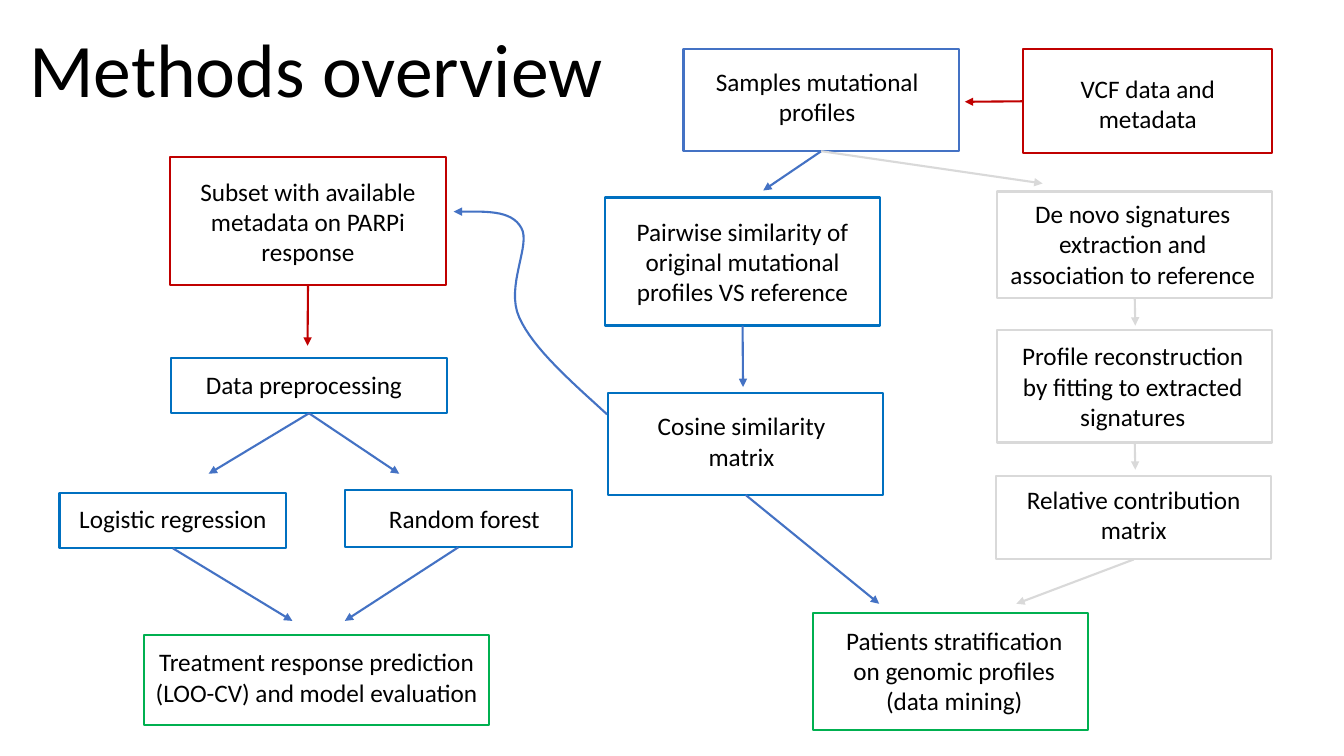
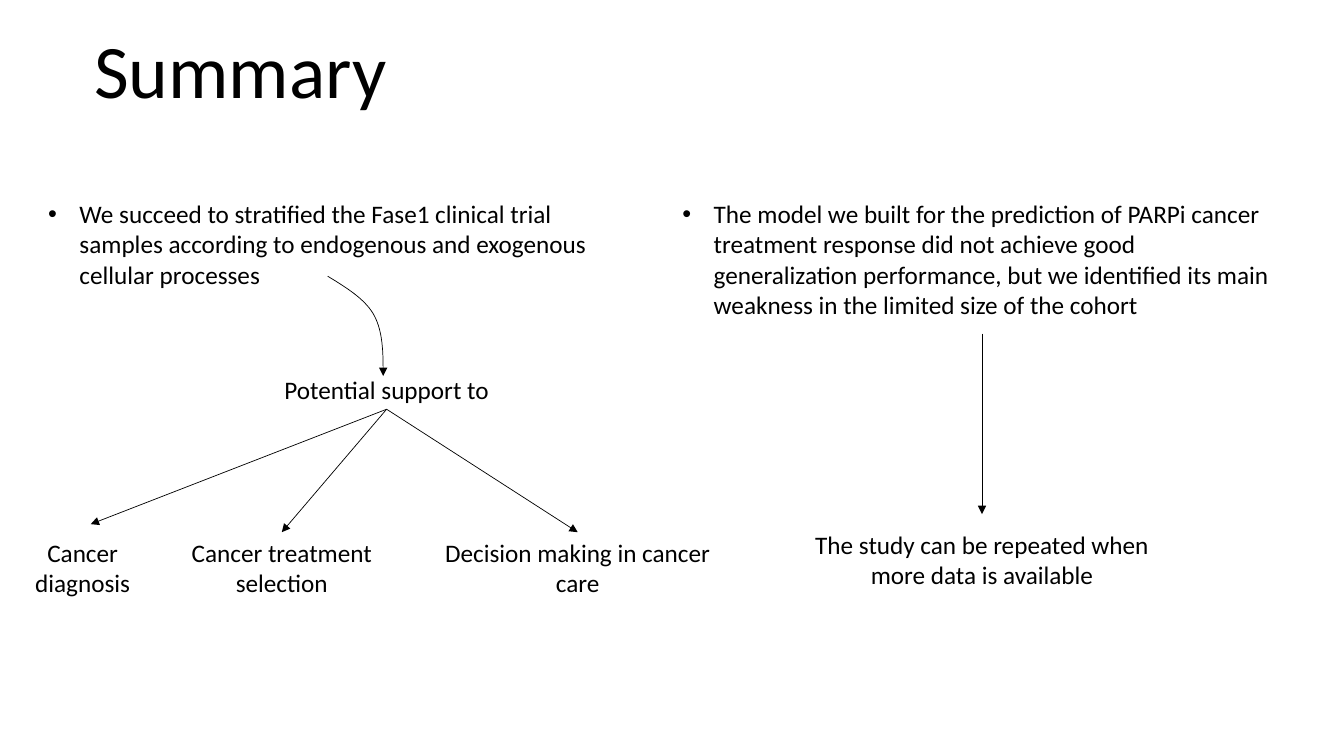
from lxml import etree
from pptx import Presentation
from pptx.dml.color import RGBColor
from pptx.enum.shapes import MSO_CONNECTOR, MSO_SHAPE
from pptx.enum.text import MSO_ANCHOR, MSO_AUTO_SIZE, PP_ALIGN
from pptx.oxml.ns import qn
from pptx.util import Emu, Inches, Pt

STRAIGHT, RECT = MSO_CONNECTOR.STRAIGHT, MSO_SHAPE.RECTANGLE
LEFT, CENTER = PP_ALIGN.LEFT, PP_ALIGN.CENTER
TOP, MIDDLE = MSO_ANCHOR.TOP, MSO_ANCHOR.MIDDLE
NO_FIT = MSO_AUTO_SIZE.NONE

BLACK = RGBColor(0x00, 0x00, 0x00)
RED = RGBColor(0xC0, 0x00, 0x00)
BLUE = RGBColor(0x00, 0x70, 0xC0)
INDIGO = RGBColor(0x44, 0x72, 0xC4)
GREY = RGBColor(0xD9, 0xD9, 0xD9)
GREEN = RGBColor(0x00, 0xB0, 0x50)

FONT = "Calibri"
TITLE_PT, BODY_PT = 54, 18
FLOW_PT, THIN_PT = 1.5, 0.5
SIDE_TOP, SIDE_LEFT, SIDE_BOTTOM = 0, 1, 2
BOX_W, MODEL_W = 2.73, 2.25
HANG = 0.31

# name: (left, top, width, height), outline, text, text width, text offset (x, y)
BOXES = {
    "samples": ((6.78, 0.49, BOX_W, 1.01), INDIGO,
                "Samples mutational profiles", 2.38, (-0.04, -0.04)),
    "vcf": ((10.15, 0.49, 2.47, 1.03), RED,
            "VCF data and metadata", 1.35, (0, 0.02)),
    "pairwise": ((6, 1.96, BOX_W, 1.27), BLUE,
                 "Pairwise similarity of original mutational profiles VS reference",
                 2.16, (0, 0)),
    "cosine": ((6.03, 3.9, BOX_W, 1.01), BLUE,
               "Cosine similarity matrix", 1.78, (-0.04, -0.03)),
    "de novo": ((9.89, 1.9, BOX_W, 1.06), GREY,
                "De novo signatures extraction and association to reference",
                2.48, (-0.02, -0.01)),
    "reconstruction": ((9.89, 3.27, BOX_W, 1.12), GREY,
                       "Profile reconstruction by fitting to extracted signatures",
                       2.39, (-0.02, 0)),
    "contribution": ((9.88, 4.72, BOX_W, 0.83), GREY,
                     "Relative contribution matrix", 2.48, (0, -0.03)),
    "patients": ((8.06, 6.08, BOX_W, 1.16), GREEN,
                 "Patients stratification on genomic profiles\n(data mining)",
                 2.45, (0.04, -0.01)),
    "subset": ((1.69, 1.56, BOX_W, 1.27), RED,
               "Subset with available metadata on PARPi response", 2.27, (0, 0)),
    "preprocessing": ((1.7, 3.55, BOX_W, 0.55), BLUE,
                      "Data preprocessing", 2.07, (-0.05, -0.01)),
    "logistic": ((0.59, 4.89, MODEL_W, 0.55), BLUE,
                 "Logistic regression", 2, (0, -0.02)),
    "forest": ((3.42, 4.86, MODEL_W, 0.57), BLUE,
               "Random forest", 2, (0.06, 0)),
    "prediction": ((1.43, 6.3, 3.42, 0.89), GREEN,
                   "Treatment response prediction (LOO-CV) and model evaluation",
                   3.36, (0, -0.03)),
}

# from box, its side, arrow tip, colour
FLOWS = [
    ("samples", SIDE_BOTTOM, (7.57, 1.89), INDIGO),
    ("samples", SIDE_BOTTOM, (10.34, 1.82), GREY),
    ("vcf", SIDE_LEFT, (9.57, 1.01), RED),
    ("pairwise", SIDE_BOTTOM, (7.37, 3.84), INDIGO),
    ("cosine", SIDE_BOTTOM, (8.72, 5.99), INDIGO),
    ("de novo", SIDE_BOTTOM, (11.26, 3.23), GREY),
    ("reconstruction", SIDE_BOTTOM, (11.26, 4.66), GREY),
    ("contribution", SIDE_BOTTOM, (10.08, 5.99), GREY),
    ("subset", SIDE_BOTTOM, (3.05, 3.43), RED),
    ("preprocessing", SIDE_BOTTOM, (2.07, 4.7), INDIGO),
    ("preprocessing", SIDE_BOTTOM, (3.96, 4.7), INDIGO),
    ("logistic", SIDE_BOTTOM, (2.9, 6.16), INDIGO),
    ("forest", SIDE_BOTTOM, (3.42, 6.16), INDIGO),
]

# start point, then two control points and an end point per curve
MATRIX_TO_SUBSET = [(6.02, 4.11),
                    (5.66, 3.78), (5.29, 3.46), (5.15, 3.15),
                    (5.01, 2.84), (5.27, 2.43), (5.17, 2.26),
                    (5.07, 2.08), (4.81, 2.1), (4.55, 2.1)]
RESULT_TO_SUPPORT = [(3.25, 2.74),
                     (3.43, 2.85), (3.61, 2.96), (3.7, 3.11),
                     (3.79, 3.26), (3.8, 3.46), (3.8, 3.66)]

FINDINGS = [
    ((0.38, 1.92, 5.68, 1.01),
     "We succeed to stratified the Fase1 clinical trial samples according to "
     "endogenous and exogenous cellular processes"),
    ((6.67, 1.92, 6.15, 1.62),
     "The model we built for the prediction of PARPi cancer treatment response "
     "did not achieve good generalization performance, but we identified its "
     "main weakness in the limited size of the cohort"),
]
OUTCOMES = {
    "support": ((2.47, 3.66, 2.73, 0.4), "Potential support to"),
    "diagnosis": ((0, 5.28, 1.64, 0.71), "Cancer diagnosis"),
    "treatment": ((1.62, 5.28, 2.35, 0.71), "Cancer treatment selection"),
    "decision": ((4.25, 5.28, 2.96, 0.71), "Decision making in cancer care"),
    "repeat": ((7.93, 5.2, 3.62, 0.71),
               "The study can be repeated when more data is available"),
}


def write(shape, text, size=BODY_PT, align=CENTER, anchor=TOP, bullet=False):
    tf = shape.text_frame
    tf.text = text
    tf.word_wrap = True
    tf.auto_size = NO_FIT
    tf.vertical_anchor = anchor
    for p in tf.paragraphs:
        p.alignment = align
        if bullet:
            pPr = p._p.get_or_add_pPr()
            pPr.set("marL", str(Inches(HANG)))
            pPr.set("indent", str(-Inches(HANG)))
            etree.SubElement(pPr, qn("a:buFont")).set("typeface", "Arial")
            etree.SubElement(pPr, qn("a:buChar")).set("char", "•")
        for r in p.runs:
            r.font.name, r.font.size = FONT, Pt(size)
            r.font.color.rgb = BLACK


def add_titled_slide(prs, text, area):
    slide = prs.slides.add_slide(prs.slide_layouts[5])
    title = slide.shapes.title
    title.left, title.top, title.width, title.height = map(Inches, area)
    write(title, text, TITLE_PT, anchor=MIDDLE)
    return slide


def add_label(slide, area, text, **style):
    box = slide.shapes.add_textbox(*map(Inches, area))
    write(box, text, **style)
    return box


def add_box(slide, area, color, text, text_width, offset):
    """Outlined box whose margins set the text width and shift the text."""
    sp = slide.shapes.add_shape(RECT, *map(Inches, area))
    sp.shadow.inherit = False
    sp.fill.background()
    sp.line.color.rgb, sp.line.width = color, Pt(FLOW_PT)
    write(sp, text, anchor=MIDDLE)
    tf, (dx, dy) = sp.text_frame, offset
    side = (area[2] - text_width) / 2
    tf.margin_left, tf.margin_right = Inches(side + dx), Inches(side - dx)
    tf.margin_top = Inches(max(0, 2 * dy))
    tf.margin_bottom = Inches(max(0, -2 * dy))
    return sp


def style_arrow(shape, color, width):
    shape.line.color.rgb, shape.line.width = color, Pt(width)
    ln = shape._element.spPr.find(qn("a:ln"))
    etree.SubElement(ln, qn("a:tailEnd")).set("type", "triangle")


def add_arrow(slide, start, end, color, width):
    """Straight arrow; each end is a point or a (shape, side) pair."""
    def point(p):
        return (0, 0) if hasattr(p[0], "shape_id") else tuple(map(Inches, p))

    line = slide.shapes.add_connector(STRAIGHT, *point(start), *point(end))
    for place, join in ((start, line.begin_connect), (end, line.end_connect)):
        if hasattr(place[0], "shape_id"):
            join(*place)
    style_arrow(line, color, width)
    etree.SubElement(line._element.spPr, qn("a:effectLst"))


def add_curved_arrow(slide, nodes, tip, color, width, steps=16):
    """Open outline along cubic curves, ending in a straight arrow tip."""
    points = []
    for i in range(0, len(nodes) - 1, 3):
        curve = nodes[i:i + 4]
        for t in (n / steps for n in range(1, steps + 1)):
            weights = ((1 - t) ** 3, 3 * t * (1 - t) ** 2,
                       3 * t ** 2 * (1 - t), t ** 3)
            points.append([sum(w * c for w, c in zip(weights, axis))
                           for axis in zip(*curve)])
    points.append(tip)
    builder = slide.shapes.build_freeform(*map(Inches, nodes[0]), scale=1.0)
    builder.add_line_segments([tuple(map(Inches, p)) for p in points], close=False)
    sp = builder.convert_to_shape(Emu(0), Emu(0))
    sp.shadow.inherit = False
    sp.fill.background()
    style_arrow(sp, color, width)


def build_methods(prs):
    slide = add_titled_slide(prs, "Methods overview", (0.14, 0.16, 5.99, 1.01))
    boxes = {name: add_box(slide, *box) for name, box in BOXES.items()}
    for name, side, tip, color in FLOWS:
        add_arrow(slide, (boxes[name], side), tip, color, FLOW_PT)
    add_curved_arrow(slide, MATRIX_TO_SUBSET, (4.5, 2.1), INDIGO, FLOW_PT)


def build_summary(prs):
    slide = add_titled_slide(prs, "Summary", (0.33, 0.17, 4.11, 1.01))
    for area, text in FINDINGS:
        add_label(slide, area, text, align=LEFT, bullet=True)
    labels = {name: add_label(slide, *label) for name, label in OUTCOMES.items()}
    support = (labels["support"], SIDE_BOTTOM)
    arrows = [
        (support, (0.9, 5.2)),
        (support, (labels["treatment"], SIDE_TOP)),
        (support, (labels["decision"], SIDE_TOP)),
        ((9.74, 3.31), (9.74, 5.1)),
    ]
    for start, end in arrows:
        add_arrow(slide, start, end, BLACK, THIN_PT)
    add_curved_arrow(slide, RESULT_TO_SUPPORT, (3.8, 3.73), BLACK, THIN_PT)


def main():
    prs = Presentation()
    prs.slide_width, prs.slide_height = Inches(13.33), Inches(7.5)
    build_methods(prs)
    build_summary(prs)
    prs.save("out.pptx")


if __name__ == "__main__":
    main()
